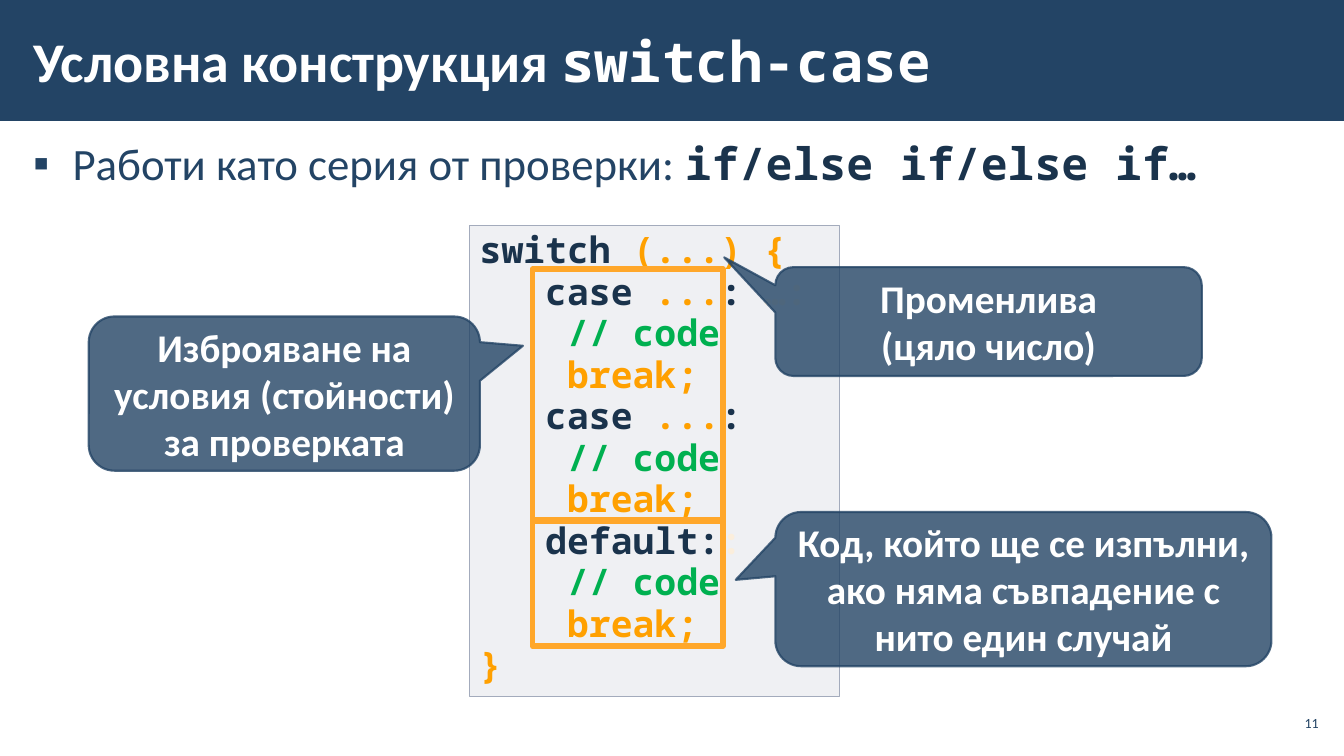
from pptx import Presentation
from pptx.dml.color import RGBColor
from pptx.enum.shapes import MSO_SHAPE
from pptx.enum.text import MSO_ANCHOR, PP_ALIGN
from pptx.oxml.ns import qn
from pptx.util import Inches, Pt
from lxml.etree import SubElement

NAVY = RGBColor(0x23, 0x44, 0x65)
DARK = RGBColor(0x1A, 0x33, 0x4C)
WHITE = RGBColor(0xFF, 0xFF, 0xFF)
ORANGE = RGBColor(0xFF, 0xA0, 0x00)
FRAME_ORANGE = RGBColor(0xFF, 0xA7, 0x2A)
GREEN = RGBColor(0x00, 0xB0, 0x50)
CREAM = RGBColor(0xFB, 0xEE, 0xDC)
PANEL_FILL = RGBColor(0xC2, 0xC7, 0xD2)
PANEL_LINE = RGBColor(0xA3, 0xAB, 0xBC)
SANS, MONO = "Calibri", "Noto Sans Mono"

TITLE = [[("Условна конструкция ", WHITE, SANS), ("switch-case", WHITE, MONO)]]
BULLET = [[("Работи като серия от проверки: ", NAVY, SANS, False),
           ("if/else if/else if…", DARK, MONO)]]
PAGE_NUMBER = [[("11", NAVY, SANS, False)]]

CASE = [("   case", DARK), (" ...", ORANGE), (":", DARK)]
BODY = [[("    // code", GREEN)], [("    break;", ORANGE)]]
CODE = [
    [("switch ", DARK), ("(...) {", ORANGE)],
    CASE + [(" …:", CREAM)], *BODY,
    CASE, *BODY,
    [("   default:", DARK), (":", CREAM)], *BODY,
    [("}", ORANGE)],
]

# text, box (left, top, width, height), pointer tip relative to the centre
CALLOUTS = [
    ("Изброяване на условия (стойности) за проверката",
     (0.88, 3.14, 3.88, 1.53), (0.61, -0.31)),
    ("Код, който ще се изпълни, ако няма съвпадение с нито един случай",
     (7.69, 5.08, 4.92, 1.53), (-0.58, -0.06)),
    ("Променлива\n(цяло число)",
     (7.69, 2.65, 4.23, 1.08), (-0.62, -0.59)),
]
FRAMES = [(5.28, 2.67, 1.89, 2.49), (5.28, 5.17, 1.89, 1.24)]


def set_opacity(color_format, percent):
    """Make a solid fill partly transparent."""
    color = color_format._xFill.find(qn("a:srgbClr"))
    SubElement(color, qn("a:alpha"), val=str(percent * 1000))


def add_box(slide, box, kind=MSO_SHAPE.RECTANGLE, fill=None, line=None,
            width=1, fill_opacity=100, line_opacity=100):
    shape = slide.shapes.add_shape(kind, *map(Inches, box))
    shape.shadow.inherit = False
    if fill is None:
        shape.fill.background()
    else:
        shape.fill.solid()
        shape.fill.fore_color.rgb = fill
        if fill_opacity < 100:
            set_opacity(shape.fill.fore_color, fill_opacity)
    if line is None:
        shape.line.fill.background()
    else:
        shape.line.color.rgb = line
        shape.line.width = Pt(width)
        if line_opacity < 100:
            set_opacity(shape.line.fill.fore_color, line_opacity)
    return shape


def write_text(shape, lines, size, align=PP_ALIGN.LEFT, anchor=MSO_ANCHOR.TOP,
               insets=(0.1, 0.05), spacing=None, bullet=None):
    """Fill a shape; each line is a list of (text, color, font, bold) runs."""
    frame = shape.text_frame
    frame.word_wrap = True
    frame.vertical_anchor = anchor
    frame.margin_left = frame.margin_right = Inches(insets[0])
    frame.margin_top = frame.margin_bottom = Inches(insets[1])
    for index, runs in enumerate(lines):
        paragraph = frame.paragraphs[0] if index == 0 else frame.add_paragraph()
        paragraph.alignment = align
        if spacing:
            paragraph.line_spacing = spacing
        if bullet:
            properties = paragraph._p.get_or_add_pPr()
            properties.set("marL", str(Inches(0.39)))
            properties.set("indent", str(-Inches(0.39)))
            SubElement(properties, qn("a:buFont"), typeface=SANS)
            SubElement(properties, qn("a:buChar"), char=bullet)
        for text, color, font, *bold in runs:
            for part_index, part in enumerate(text.split("\n")):
                if part_index:
                    paragraph.add_line_break()
                run = paragraph.add_run()
                run.text = part
                run.font.name = font
                run.font.size = Pt(size)
                run.font.bold = bold[0] if bold else True
                run.font.color.rgb = color


def add_text(slide, box, lines, size, **text_format):
    write_text(slide.shapes.add_textbox(*map(Inches, box)), lines, size, **text_format)


def add_callout(slide, text, box, tip):
    shape = add_box(slide, box, MSO_SHAPE.ROUNDED_RECTANGULAR_CALLOUT, fill=NAVY,
                    line=NAVY, width=1.5, fill_opacity=80, line_opacity=80)
    shape.adjustments[0], shape.adjustments[1] = tip
    write_text(shape, [[(text, WHITE, SANS)]], 28,
               align=PP_ALIGN.CENTER, anchor=MSO_ANCHOR.MIDDLE)


def main():
    presentation = Presentation()
    presentation.slide_width, presentation.slide_height = Inches(13.33), Inches(7.5)
    slide = presentation.slides.add_slide(presentation.slide_layouts[6])

    add_box(slide, (0, 0, 13.33, 1.2), fill=NAVY)
    add_text(slide, (0.21, 0.11, 10.63, 0.97), TITLE, 40,
             anchor=MSO_ANCHOR.MIDDLE, insets=(0.12, 0.04))
    add_text(slide, (0.21, 1.31, 12.92, 6.05), BULLET, 32,
             insets=(0.12, 0.04), bullet="▪")
    add_text(slide, (12.65, 7, 0.47, 0.34), PAGE_NUMBER, 10, align=PP_ALIGN.RIGHT,
             anchor=MSO_ANCHOR.MIDDLE, insets=(0.04, 0.04))

    panel = add_box(slide, (4.66, 2.24, 3.67, 4.67), fill=PANEL_FILL,
                    line=PANEL_LINE, fill_opacity=25)
    code_lines = [[(text, color, MONO) for text, color in line] for line in CODE]
    write_text(panel, code_lines, 26, spacing=0.95)

    for box in FRAMES:
        add_box(slide, box, line=FRAME_ORANGE, width=4)
    for text, box, tip in CALLOUTS:
        add_callout(slide, text, box, tip)

    presentation.save("out.pptx")


if __name__ == "__main__":
    main()
